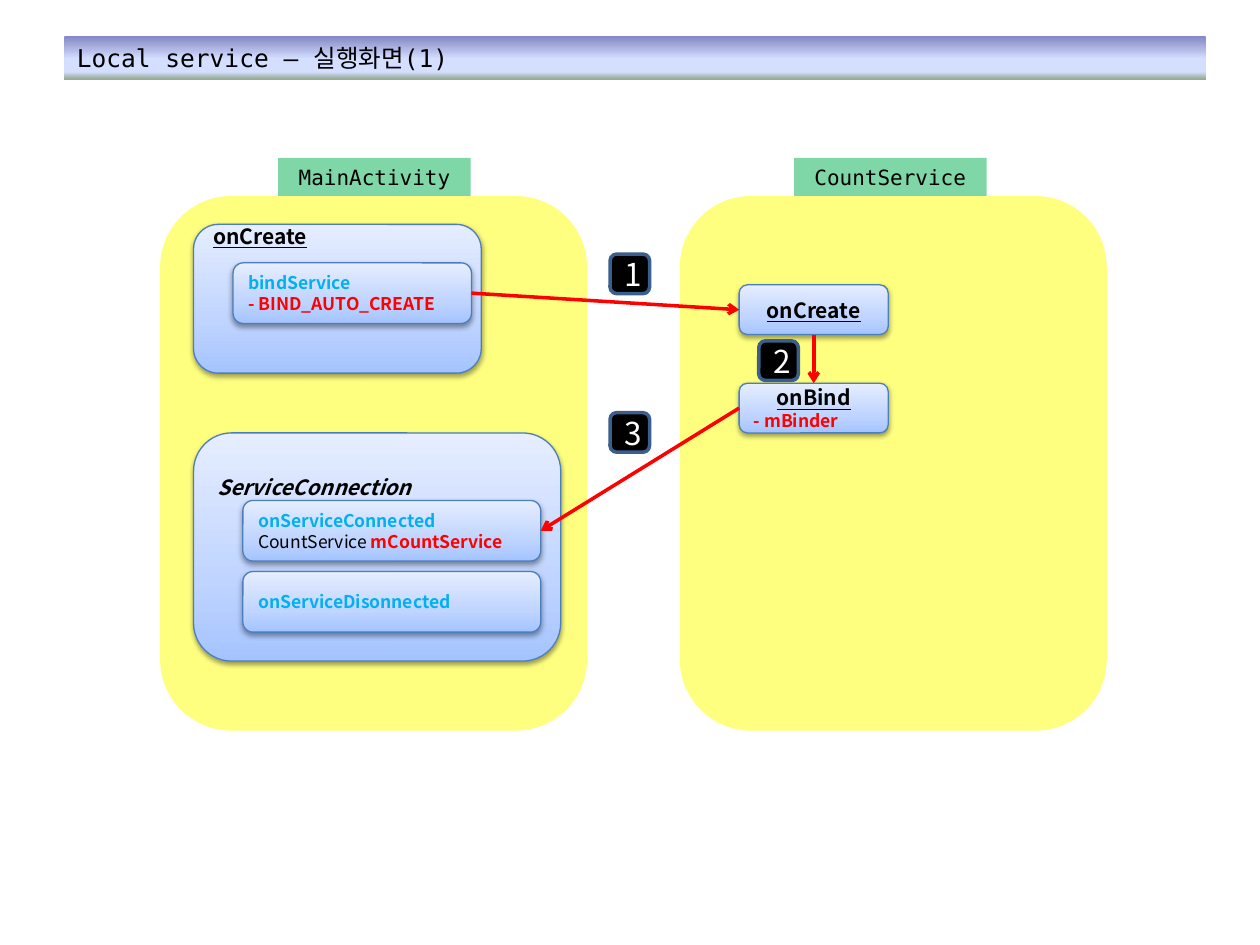
from lxml import etree
from pptx import Presentation
from pptx.dml.color import RGBColor
from pptx.enum.shapes import MSO_CONNECTOR, MSO_SHAPE
from pptx.enum.text import MSO_ANCHOR, PP_ALIGN
from pptx.oxml.ns import qn
from pptx.util import Pt

MONO, SANS = "DejaVu Sans Mono", "Noto Sans CJK KR"
BLACK, WHITE, RED, CYAN = "000000", "FFFFFF", "FF0000", "00B0F0"
LEFT, CENTER = PP_ALIGN.LEFT, PP_ALIGN.CENTER

# Content; a run is (text, size, colour, styles), boxes are left, top, width, height
TITLE = "Local service – 실행화면(1)"
TITLE_BOX = (36.75, 20.75, 652.25, 24.5)
TITLE_STOPS = [(0, "8488C4"), (53, "D4DEFF"), (83, "D4DEFF"), (100, "96AB94")]
BOX_STOPS = [(0, "E6EEFF"), (65, "BFD4FF"), (100, "A4C4FF")]

PANELS = [("MainActivity", 91.5, 159), ("CountService", 388.5, 453.75)]
PANEL_TOP, PANEL_WIDTH, PANEL_HEIGHT = 112, 244, 305.5
LABEL_WIDTH, LABEL_HEIGHT = 110, 21.8

# name: (box, (inset top, inset bottom), paragraphs of (alignment, runs))
BOXES = {
    "activity create": ((110.6, 128.2, 164.4, 85), (0, 71.6), [
        (LEFT, [("onCreate", 12, BLACK, "bu")])]),
    "bind": ((133.2, 150.2, 136.2, 34.6), (3.6, 3.6), [
        (LEFT, [("bindService", 10, CYAN, "b")]),
        (LEFT, [("- BIND_AUTO_CREATE", 10, RED, "b")])]),
    "service create": ((422.4, 162.8, 85.2, 28.4), (3.6, 3.6), [
        (CENTER, [("onCreate", 12, BLACK, "bu")])]),
    "service bind": ((422.4, 219, 85.2, 28.4), (3.6, 3.6), [
        (CENTER, [("onBind", 12, BLACK, "bu")]),
        (LEFT, [("- mBinder", 10, RED, "b")])]),
    "connection": ((110.6, 247.4, 209.8, 130.4), (14, 83), [
        (LEFT, [("ServiceConnection", 12, BLACK, "bi")])]),
    "connected": ((138.8, 286, 170.2, 34.6), (3.6, 3.6), [
        (LEFT, [("onServiceConnected", 10, CYAN, "b")]),
        (LEFT, [("CountService ", 10, BLACK, ""),
                ("mCountService", 10, RED, "b")])]),
    "disconnected": ((138.8, 326.6, 170.2, 34.6), (3.6, 3.6), [
        (LEFT, [("onServiceDisonnected", 10, CYAN, "b")])]),
}

# Connection sites: 0 top, 1 left, 2 bottom, 3 right
ARROWS = [("bind", 3, "service create", 1),
          ("service create", 2, "service bind", 0),
          ("service bind", 1, "connected", 3)]
STEPS = [("1", 348.6, 145.2), ("2", 433.6, 194.8), ("3", 348.6, 235.8)]
STEP_SIZE = 22.6


def color(value):
    return RGBColor.from_string(value)


def add_element(parent, tag, **attributes):
    element = etree.SubElement(parent, qn(tag))
    for name, value in attributes.items():
        element.set(name, str(value))
    return element


def add_color(parent, value, alpha=None):
    element = add_element(parent, "a:srgbClr", val=value)
    if alpha is not None:
        add_element(element, "a:alpha", val=alpha * 1000)


def fill_gradient(shape, stops):
    shape.fill.gradient()
    shape.fill.gradient_angle = 270
    stop_list = shape.element.spPr.find(".//" + qn("a:gsLst"))
    for stop in list(stop_list):
        stop_list.remove(stop)
    for position, value in stops:
        add_color(add_element(stop_list, "a:gs", pos=position * 1000), value)


def fill_solid(shape, value, alpha=100):
    shape.fill.solid()
    shape.fill.fore_color.rgb = color(value)
    if alpha < 100:
        srgb = shape.element.spPr.find(qn("a:solidFill"))[0]
        add_element(srgb, "a:alpha", val=alpha * 1000)


def add_box(kind, box, line=None, width=0.75):
    shape = slide.shapes.add_shape(kind, *map(Pt, box))
    shape.shadow.inherit = False
    if line:
        shape.line.color.rgb = color(line)
        shape.line.width = Pt(width)
    else:
        shape.line.fill.background()
    return shape


def add_shadow(shape):
    effects = shape.element.spPr.find(qn("a:effectLst"))
    shadow = add_element(effects, "a:outerShdw", blurRad=Pt(3.1), dist=Pt(1.6),
                         dir=90 * 60000, rotWithShape=0)
    add_color(shadow, BLACK, 38)


def write(shape, paragraphs, font_name=SANS):
    frame = shape.text_frame
    frame.word_wrap = True
    frame.vertical_anchor = MSO_ANCHOR.MIDDLE
    for index, (alignment, runs) in enumerate(paragraphs):
        paragraph = frame.add_paragraph() if index else frame.paragraphs[0]
        paragraph.alignment = alignment
        for text, size, value, styles in runs:
            run = paragraph.add_run()
            run.text = text
            font = run.font
            font.name, font.size = font_name, Pt(size)
            font.color.rgb = color(value)
            font.bold, font.italic = "b" in styles, "i" in styles
            font.underline = "u" in styles


presentation = Presentation()
presentation.slide_width, presentation.slide_height = Pt(720), Pt(540)
slide = presentation.slides.add_slide(presentation.slide_layouts[5])

# Title bar
title = slide.shapes.title
title.left, title.top, title.width, title.height = map(Pt, TITLE_BOX)
fill_gradient(title, TITLE_STOPS)
write(title, [(LEFT, [(TITLE, 14, BLACK, "")])], MONO)

# Panels with their labels
for name, panel_left, label_left in PANELS:
    panel = add_box(MSO_SHAPE.ROUNDED_RECTANGLE,
                    (panel_left, PANEL_TOP, PANEL_WIDTH, PANEL_HEIGHT))
    fill_solid(panel, "FFFF00", 50)
    label = add_box(MSO_SHAPE.RECTANGLE, (label_left, PANEL_TOP - LABEL_HEIGHT,
                                          LABEL_WIDTH, LABEL_HEIGHT))
    fill_solid(label, "00B050", 50)
    write(label, [(CENTER, [(name, 12, BLACK, "")])], MONO)

# Method boxes
shapes = {}
for name, (box, (inset_top, inset_bottom), paragraphs) in BOXES.items():
    shape = shapes[name] = add_box(MSO_SHAPE.ROUNDED_RECTANGLE, box, "4B7EBC")
    fill_gradient(shape, BOX_STOPS)
    add_shadow(shape)
    write(shape, paragraphs)
    shape.text_frame.margin_top = Pt(inset_top)
    shape.text_frame.margin_bottom = Pt(inset_bottom)

# Call arrows
for start, start_site, end, end_site in ARROWS:
    arrow = slide.shapes.add_connector(MSO_CONNECTOR.STRAIGHT, 0, 0, 0, 0)
    arrow.begin_connect(shapes[start], start_site)
    arrow.end_connect(shapes[end], end_site)
    arrow.line.color.rgb = color(RED)
    arrow.line.width = Pt(2)
    add_element(arrow.line._get_or_add_ln(), "a:tailEnd", type="arrow")
    add_element(arrow.element.spPr, "a:effectLst")

# Step numbers
for number, left, top in STEPS:
    step = add_box(MSO_SHAPE.ROUNDED_RECTANGLE,
                   (left, top, STEP_SIZE, STEP_SIZE), "3A5F8C", 2)
    fill_solid(step, BLACK)
    write(step, [(CENTER, [(number, 18, WHITE, "")])])

presentation.save("out.pptx")
